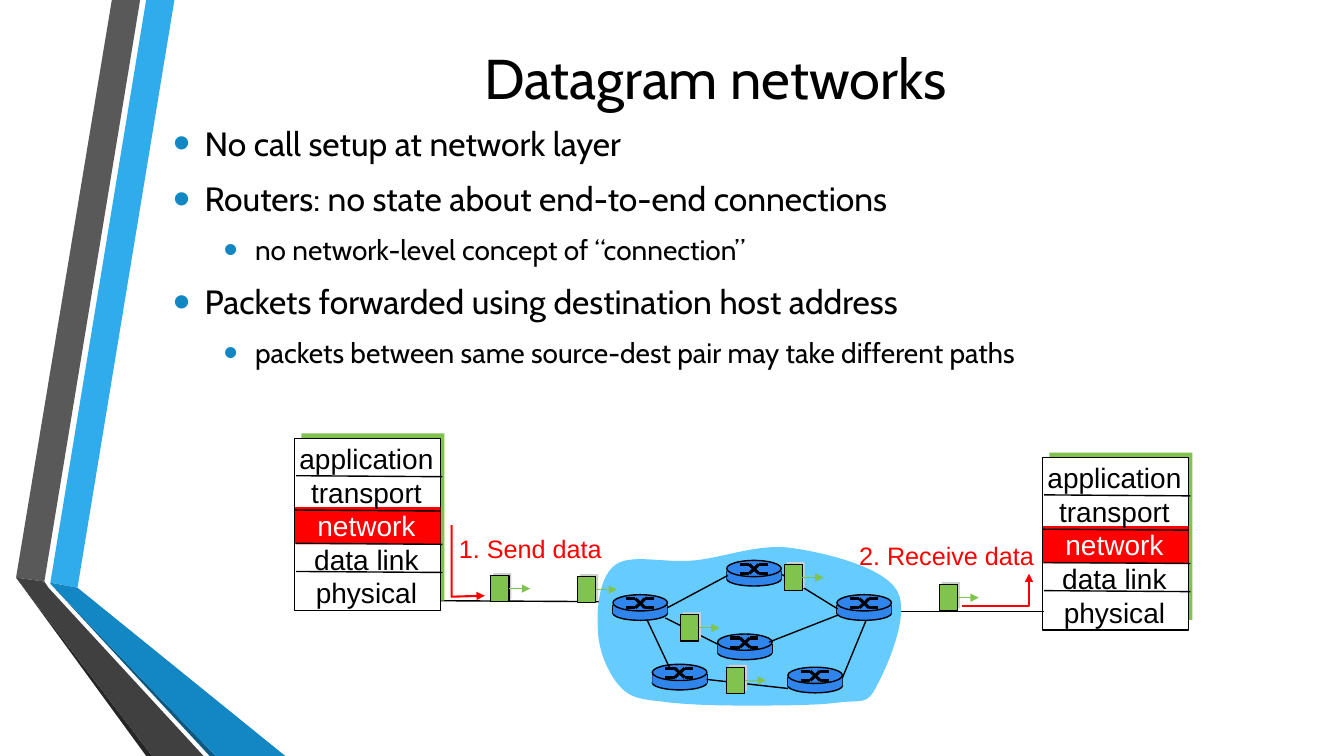
from dataclasses import dataclass
from itertools import pairwise

from lxml.etree import SubElement
from pptx import Presentation
from pptx.dml.color import RGBColor
from pptx.enum.shapes import MSO_CONNECTOR, MSO_SHAPE
from pptx.enum.text import MSO_ANCHOR, PP_ALIGN
from pptx.oxml.ns import qn
from pptx.util import Pt

COLORS = {
    "black": "000000", "white": "FFFFFF", "red": "FF0000", "green": "80C34F",
    "packet shadow": "CDD0D1", "cloud": "66CCFF", "router": "3085ED",
    "light blue": "30ACEC", "blue": "1287C3", "dark blue": "0C5A82",
    "gray": "595959", "dark gray": "404040", "darkest gray": "262626",
}
Point = tuple[float, float]


@dataclass
class Ribbon:
    color: str
    points: list[Point]


@dataclass
class Bullet:
    text: str
    level: int = 0


@dataclass
class Label:
    text: str
    left: float
    top: float
    width: float


RIBBONS = [
    Ribbon("light blue", [(36, 416.2), (55.4, 419.8), (124.6, 0), (104.4, 0)]),
    Ribbon("gray", [(100.1, 0), (79.9, 0), (11.5, 412.6), (31.7, 415.4)]),
    Ribbon("darkest gray", [(11.5, 412.6), (104.4, 540), (108.7, 540)]),
    Ribbon("dark blue", [(36, 416.9), (149.8, 540), (154.1, 540)]),
    Ribbon("blue", [(36, 416.9), (154.1, 540), (203.8, 540), (55.4, 419.8), (36, 416.2)]),
    Ribbon("dark gray", [(145.4, 540), (34.6, 419.8), (31.7, 415.4), (11.5, 412.6), (108.7, 540)]),
]
BULLETS = [
    Bullet("No call setup at network layer"),
    Bullet("Routers: no state about end-to-end connections"),
    Bullet("no network-level concept of “connection”", 1),
    Bullet("Packets forwarded using destination host address"),
    Bullet("packets between same source-dest pair may take different paths", 1),
]
LAYERS = ["application", "transport", "network", "data link", "physical"]
HOSTS = [(210.2, 313.2), (744.5, 326.9)]
LAYER_DIVIDERS = [(0, 51.1), (1.4, 74.9), (1.4, 95), (1.4, 26.6)]
ACCESS_LINKS = [((313.9, 429.1), (437.8, 429.8)), ((745.9, 437), (635, 437))]
LABELS = [Label("1. Send data", 319.7, 377.3, 118.1), Label("2. Receive data", 604.8, 382.3, 142.6)]
DATA_ARROWS = [
    [(322.6, 375.1), (322.6, 426.2), (346.3, 425.5)],
    [(686.9, 432.7), (735.1, 432.7), (735.1, 409.7)],
]
# Each cloud curve: two control points and an end point
CLOUD_START = (427, 447.8)
CLOUD_CURVES = [
    ((426.2, 433.4), (428.4, 411.1), (439.9, 403.2)),
    ((451.4, 395.3), (475.2, 402.5), (496.1, 400.3)),
    ((517.7, 398.2), (543.6, 387.4), (567.4, 391.7)),
    ((591.8, 395.3), (631.4, 405.4), (640.8, 421.9)),
    ((650.9, 438.5), (632.9, 478.1), (625.7, 491)),
    ((619.2, 504), (614.9, 499.7), (599, 501.8)),
    ((583.2, 504), (551.5, 504), (531.4, 504)),
    ((511.2, 504), (492.5, 503.3), (478.1, 501.8)),
    ((463.7, 499.7), (452.9, 500.4), (444.2, 491.8)),
    ((435.6, 483.1), (427, 465.8), CLOUD_START),
]
ROUTERS = [(437.8, 424.8), (466, 474.5), (519.1, 400.3), (512.6, 452.9), (562.8, 476.6), (597.8, 424.8)]
ROUTER_LINKS = [
    ((476.6, 434.2), (519.8, 411.1)), ((558.7, 410.4), (598.3, 434.9)),
    ((475.2, 441.4), (512.6, 460.1)), ((549.4, 458.6), (599, 439.2)),
    ((601.9, 483.8), (618.5, 443.5)), ((563, 491.8), (504.7, 485.3)),
    ((478.1, 476.6), (462.2, 442.8)),
]
PACKETS = [(350.6, 411.1), (412.6, 411.8), (560.2, 403.2), (519.1, 476.6), (486, 439.2), (671, 417.6)]

presentation = Presentation()
presentation.slide_width, presentation.slide_height = Pt(960), Pt(540)
slide = presentation.slides.add_slide(presentation.slide_layouts[6])


def rgb(color: str) -> RGBColor:
    return RGBColor.from_string(COLORS[color])


def set_line(shape, color: str, width: float, arrow: bool = False) -> None:
    shape.line.color.rgb = rgb(color)
    shape.line.width = Pt(width)
    if arrow:
        SubElement(shape._element.spPr.find(qn("a:ln")), qn("a:tailEnd"), type="triangle")


def add_box(kind, left: float, top: float, width: float, height: float, fill: str, line_width: float = 0):
    shape = slide.shapes.add_shape(kind, Pt(left), Pt(top), Pt(width), Pt(height))
    shape.shadow.inherit = False
    shape.fill.solid()
    shape.fill.fore_color.rgb = rgb(fill)
    if line_width:
        set_line(shape, "black", line_width)
    else:
        shape.line.fill.background()
    return shape


def add_line(start: Point, end: Point, color: str = "black", width: float = 1, arrow: bool = False):
    connector = slide.shapes.add_connector(
        MSO_CONNECTOR.STRAIGHT, *(Pt(value) for value in (*start, *end)))
    set_line(connector, color, width, arrow)
    SubElement(connector._element.spPr, qn("a:effectLst"))
    return connector


def add_outline(points: list[Point], fill: str = "") -> None:
    """Draw a filled closed outline, or a red open arrow when there is no fill."""
    corners = [(Pt(x), Pt(y)) for x, y in points]
    builder = slide.shapes.build_freeform(*corners[0])
    builder.add_line_segments(corners[1:], close=bool(fill))
    shape = builder.convert_to_shape()
    shape.shadow.inherit = False
    if fill:
        shape.fill.solid()
        shape.fill.fore_color.rgb = rgb(fill)
        shape.line.fill.background()
    else:
        shape.fill.background()
        set_line(shape, "red", 1.5, arrow=True)


def add_text_frame(left: float, top: float, width: float, height: float, wrap: bool = True):
    frame = slide.shapes.add_textbox(Pt(left), Pt(top), Pt(width), Pt(height)).text_frame
    frame.word_wrap = wrap
    return frame


def set_font(paragraph, name: str, size: float, color: str = "black") -> None:
    paragraph.font.name = name
    paragraph.font.size = Pt(size)
    paragraph.font.color.rgb = rgb(color)


def add_bullet(paragraph, bullet: Bullet, first: bool) -> None:
    size = 20 if bullet.level else 24
    paragraph.text = bullet.text
    paragraph.level = bullet.level
    paragraph.space_before = Pt(0 if first else size * 0.2)
    paragraph.space_after = Pt(6)
    properties = paragraph._p.get_or_add_pPr()
    properties.set("marL", str(Pt(22.5 + 36 * bullet.level)))
    properties.set("indent", str(-Pt(22.5)))
    SubElement(SubElement(properties, qn("a:buClr")), qn("a:srgbClr"), val=COLORS["blue"])
    SubElement(properties, qn("a:buSzPct"), val="145000")
    SubElement(properties, qn("a:buFont"), typeface="Arial")
    SubElement(properties, qn("a:buChar"), char="•")
    set_font(paragraph, "Cabin", size)


def add_host(left: float, top: float) -> None:
    add_box(MSO_SHAPE.RECTANGLE, left + 5, top - 3.6, 102.2, 119.5, "green")
    add_box(MSO_SHAPE.RECTANGLE, left, top, 104.4, 123.1, "white", 1)
    add_box(MSO_SHAPE.RECTANGLE, left + 0.7, top + 49, 103.7, 26.6, "red")
    frame = add_text_frame(left - 10, top - 1.4, 123.1, 127.4)
    for index, layer in enumerate(LAYERS):
        paragraph = frame.add_paragraph() if index else frame.paragraphs[0]
        paragraph.text = layer
        paragraph.alignment = PP_ALIGN.CENTER
        set_font(paragraph, "Arial", 20, "white" if layer == "network" else "black")
    for x, y in LAYER_DIVIDERS:
        add_line((left + x, top + y), (left + x + 104.4, top + y + 0.7))


def add_router(left: float, top: float) -> None:
    add_box(MSO_SHAPE.OVAL, left, top + 8.1, 39, 10.2, "router", 1)
    for x in (left, left + 39):
        add_line((x, top + 7.3), (x, top + 13.6))
    add_box(MSO_SHAPE.RECTANGLE, left, top + 7.3, 39, 6.3, "router")
    add_box(MSO_SHAPE.OVAL, left, top, 39, 11.6, "router", 1)
    for near, far in ((2.8, 9.4), (9.4, 2.8)):
        zigzag = [(9.2, near), (16, near), (23, far), (29.2, far)]
        for start, end in pairwise((left + x, top + y) for x, y in zigzag):
            add_line(start, end, width=2.25)


def add_packet(left: float, top: float) -> None:
    add_box(MSO_SHAPE.RECTANGLE, left + 1.6, top - 1.7, 13, 18.7, "packet shadow")
    packet = add_box(MSO_SHAPE.RECTANGLE, left, top, 13, 18.7, "green", 0.75)
    middle = top + 18.7 / 2
    arrow = add_line((left + 13, middle), (left + 28.1, middle), "green", 0.75, arrow=True)
    arrow.begin_connect(packet, 3)


def curve_points(start: Point, curves: list, steps: int = 12) -> list[Point]:
    points = [start]
    for first, second, end in curves:
        for step in range(1, steps + 1):
            t = step / steps
            weights = ((1 - t) ** 3, 3 * t * (1 - t) ** 2, 3 * t * t * (1 - t), t ** 3)
            corners = (start, first, second, end)
            points.append(tuple(sum(w * c[axis] for w, c in zip(weights, corners)) for axis in (0, 1)))
        start = end
    return points


# Ribbons on the left edge
for ribbon in RIBBONS:
    add_outline(ribbon.points, ribbon.color)

# Title and bullets
title = add_text_frame(116.6, 25.9, 789.1, 58.3)
title.vertical_anchor = MSO_ANCHOR.MIDDLE
title.text = "Datagram networks"
title.paragraphs[0].alignment = PP_ALIGN.CENTER
set_font(title.paragraphs[0], "Cabin", 40)
body = add_text_frame(116.6, 84.2, 789.1, 372.2)
for index, bullet in enumerate(BULLETS):
    add_bullet(body.add_paragraph() if index else body.paragraphs[0], bullet, index == 0)

# Hosts, access links and data arrows
add_line(*ACCESS_LINKS[0])
for host in HOSTS:
    add_host(*host)
add_line(*ACCESS_LINKS[1])
for label in LABELS:
    frame = add_text_frame(label.left, label.top, label.width, 28.8, wrap=False)
    frame.text = label.text
    frame.paragraphs[0].alignment = PP_ALIGN.CENTER
    set_font(frame.paragraphs[0], "Arial", 18, "red")
for points in DATA_ARROWS:
    add_outline(points)

# Network cloud with routers and packets
add_outline(curve_points(CLOUD_START, CLOUD_CURVES), "cloud")
for router in ROUTERS:
    add_router(*router)
for link in ROUTER_LINKS:
    add_line(*link)
for packet_corner in PACKETS:
    add_packet(*packet_corner)

presentation.save("out.pptx")
